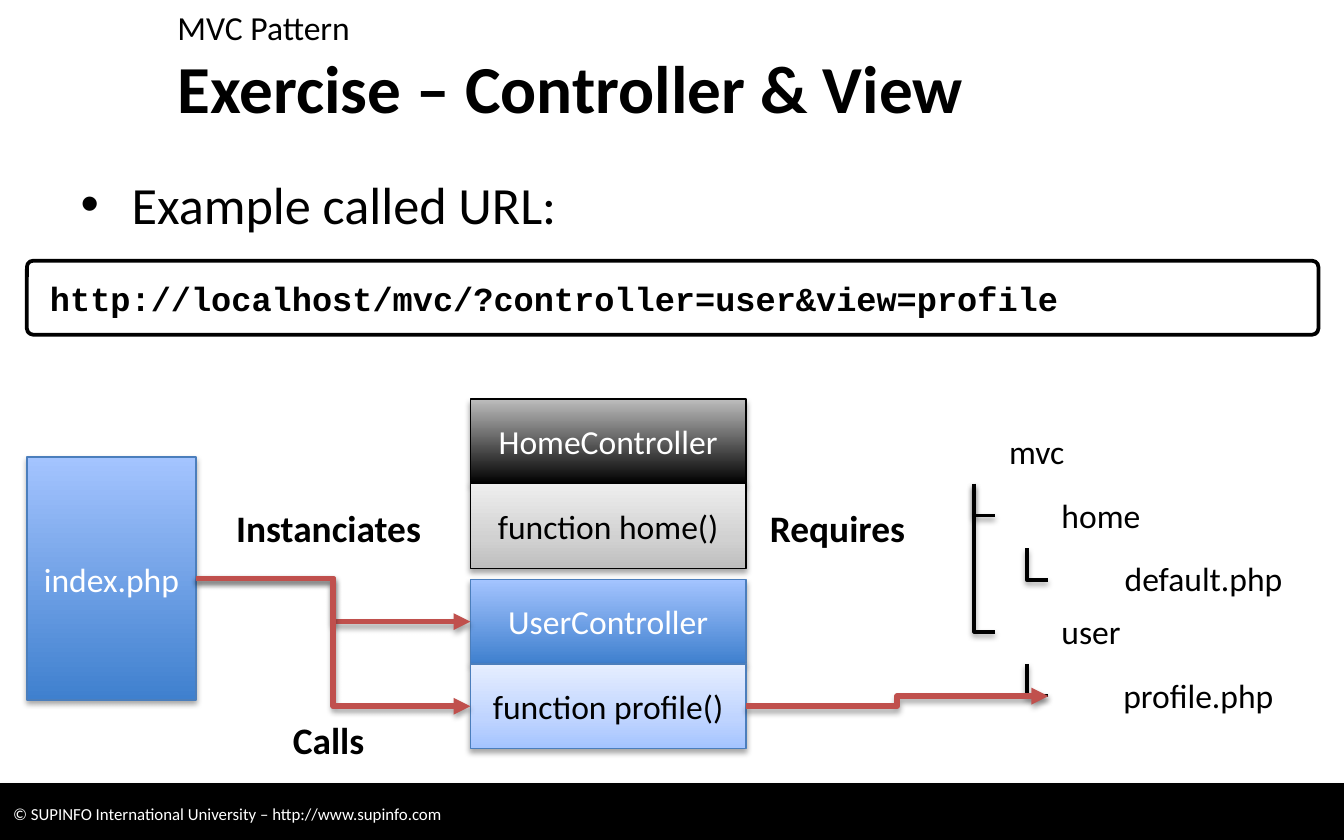
from dataclasses import dataclass
from copy import deepcopy
from typing import NamedTuple, Optional

from lxml.etree import SubElement
from pptx import Presentation
from pptx.dml.color import RGBColor
from pptx.enum.shapes import MSO_CONNECTOR, MSO_SHAPE
from pptx.enum.text import MSO_ANCHOR, MSO_AUTO_SIZE, PP_ALIGN
from pptx.oxml.ns import qn
from pptx.util import Emu, Inches, Pt

BLACK = RGBColor(0x00, 0x00, 0x00)
WHITE = RGBColor(0xFF, 0xFF, 0xFF)
GREY = RGBColor(0x80, 0x80, 0x80)
SILVER = RGBColor(0xBD, 0xBD, 0xBD)
LIGHT_SILVER = RGBColor(0xD1, 0xD1, 0xD1)
PALE_SILVER = RGBColor(0xEE, 0xEE, 0xEE)
BLUE = RGBColor(0x3F, 0x80, 0xCE)
BLUE_EDGE = RGBColor(0x4B, 0x7E, 0xBC)
SKY = RGBColor(0xA4, 0xC4, 0xFF)
LIGHT_SKY = RGBColor(0xBF, 0xD4, 0xFF)
PALE_SKY = RGBColor(0xE6, 0xEE, 0xFF)
RED = RGBColor(0xC0, 0x50, 0x4D)

COLUMNS = 100
SLIDE_WIDTH, SLIDE_HEIGHT = Inches(10), Inches(6.25)
CELL = SLIDE_WIDTH / COLUMNS
CLASS_LEFT, CLASS_WIDTH, CLASS_ROW = 35, 20.5, 6.3
BRANCH_WIDTH = 1.55


class Area(NamedTuple):
    left: float
    top: float
    width: float
    height: float


class Point(NamedTuple):
    x: float
    y: float


class Style(NamedTuple):
    size: float = 18
    color: RGBColor = BLACK
    bold: bool = False
    align: PP_ALIGN = PP_ALIGN.LEFT
    font: str = "Calibri"


@dataclass
class Controller:
    name: str
    method: str
    top: float
    edge: RGBColor
    name_fill: tuple
    method_fill: tuple


@dataclass
class Label:
    text: str
    area: Area
    style: Style = Style()


CONTROLLERS = [
    Controller("HomeController", "function home()", 29.7, BLACK,
               (BLACK, SILVER), (SILVER, LIGHT_SILVER, PALE_SILVER)),
    Controller("UserController", "function profile()", 43.1, BLUE_EDGE,
               (BLUE, SKY), (SKY, LIGHT_SKY, PALE_SKY)),
]
CAPTION = Style(20, bold=True)
CENTRED_CAPTION = CAPTION._replace(align=PP_ALIGN.CENTER)
LABELS = [
    Label("mvc", Area(74.1, 31.6, 12.6, 4)),
    Label("home", Area(78, 36.3, 12.6, 4)),
    Label("user", Area(78, 45, 12.6, 4)),
    Label("default.php", Area(82.7, 41, 15, 4)),
    Label("profile.php", Area(82.6, 49.7, 16.2, 4)),
    Label("Instanciates", Area(15.4, 37.1, 18.1, 4.4), CENTRED_CAPTION),
    Label("Calls", Area(15.4, 52.9, 18.1, 4.4), CENTRED_CAPTION),
    Label("Requires", Area(56.3, 37.1, 12.6, 4.4), CAPTION),
]
BRANCHES = [(Point(76.4, 40.8), 2.35), (Point(76.4, 49.4), 2.35),
            (Point(72.5, 36), 2.35), (Point(72.5, 36), 11)]


def grid(*cells: float) -> list[Emu]:
    return [Emu(round(cell * CELL)) for cell in cells]


def write(shape, text: str, style: Style, anchor=MSO_ANCHOR.TOP,
          margin: float = 0, indent: float = 0, bullet: Optional[str] = None) -> None:
    frame = shape.text_frame
    frame.text = text
    frame.word_wrap = True
    frame.auto_size = MSO_AUTO_SIZE.NONE
    frame.vertical_anchor = anchor
    paragraph = frame.paragraphs[0]
    properties = paragraph._p.get_or_add_pPr()
    properties.set("marL", str(Inches(margin)))
    properties.set("indent", str(Inches(indent)))
    if bullet:
        SubElement(properties, qn("a:buChar")).set("char", bullet)
    else:
        SubElement(properties, qn("a:buNone"))
    paragraph.alignment = style.align
    paragraph.space_before = Pt(0)
    font = paragraph.runs[0].font
    font.name, font.size, font.bold = style.font, Pt(style.size), style.bold
    font.color.rgb = style.color


def cast_shadow(shape, color: RGBColor = BLACK, opacity: int = 35) -> None:
    effects = SubElement(shape._element.spPr, qn("a:effectLst"))
    shadow = SubElement(effects, qn("a:outerShdw"), blurRad=str(Pt(3.1)),
                        dist=str(Pt(1.8)), dir="5400000", rotWithShape="0")
    tint = SubElement(shadow, qn("a:srgbClr"), val=str(color))
    SubElement(tint, qn("a:alpha"), val=str(opacity * 1000))


def draw_box(slide, area: Area, edge: RGBColor, colors: tuple,
             kind=MSO_SHAPE.RECTANGLE, weight: float = 0.75):
    box = slide.shapes.add_shape(kind, *grid(*area))
    box.line.color.rgb = edge
    box.line.width = Pt(weight)
    if len(colors) == 1:
        box.fill.solid()
        box.fill.fore_color.rgb = colors[0]
        return box
    box.fill.gradient()
    box.fill.gradient_angle = 90
    positions = (0, 1)
    if len(colors) == 3:
        stops = next(box._element.iter(qn("a:gsLst")))
        stops.insert(1, deepcopy(stops[0]))
        positions = (0, 0.35, 1)
    for stop, position, color in zip(box.fill.gradient_stops, positions, colors):
        stop.position = position
        stop.color.rgb = color
    return box


def draw_block(slide, text: str, area: Area, edge: RGBColor, colors: tuple,
               color: RGBColor) -> None:
    block = draw_box(slide, area, edge, colors)
    cast_shadow(block)
    write(block, text, Style(color=color, align=PP_ALIGN.CENTER), MSO_ANCHOR.MIDDLE)


def draw_controller(slide, controller: Controller) -> None:
    rows = [(controller.name, controller.name_fill, WHITE),
            (controller.method, controller.method_fill, BLACK)]
    for index, (text, colors, color) in enumerate(rows):
        area = Area(CLASS_LEFT, controller.top + index * CLASS_ROW, CLASS_WIDTH, CLASS_ROW)
        draw_block(slide, text, area, controller.edge, colors, color)


def draw_elbow(slide, start: Point, end: Point, color: RGBColor, weight: float):
    elbow = slide.shapes.add_connector(MSO_CONNECTOR.ELBOW, *grid(*start, *end))
    elbow.line.color.rgb = color
    elbow.line.width = Pt(weight)
    return elbow


def draw_branch(slide, start: Point, drop: float) -> None:
    left = start.x + (BRANCH_WIDTH - drop) / 2
    top = start.y + (drop - BRANCH_WIDTH) / 2
    branch = draw_elbow(slide, Point(left, top),
                        Point(left + drop, top + BRANCH_WIDTH), BLACK, 2)
    properties = branch._element.spPr
    properties.find(qn("a:prstGeom")).set("prst", "bentConnector2")
    properties.find(qn("a:xfrm")).set("rot", str(270 * 60000))
    properties.find(qn("a:xfrm")).set("flipH", "1")
    cast_shadow(branch, opacity=38)


def draw_arrow(slide, start: Point, end: Point) -> None:
    arrow = draw_elbow(slide, start, end, RED, 3)
    SubElement(arrow.line._get_or_add_ln(), qn("a:tailEnd"), type="triangle")
    cast_shadow(arrow)


def fill_placeholder(placeholder, area: Area, text: str, style: Style, **layout) -> None:
    (placeholder.left, placeholder.top,
     placeholder.width, placeholder.height) = grid(*area)
    write(placeholder, text, style, **layout)


def main() -> None:
    deck = Presentation()
    deck.slide_width, deck.slide_height = SLIDE_WIDTH, SLIDE_HEIGHT
    slide = deck.slides.add_slide(deck.slide_layouts.get_by_name("Two Content"))
    title, chapter, example = slide.placeholders
    fill_placeholder(title, Area(12.2, 3.7, 85, 5.5), "Exercise – Controller & View",
                     Style(36, bold=True), anchor=MSO_ANCHOR.MIDDLE)
    fill_placeholder(chapter, Area(12.2, 0, 85.1, 3.7), "MVC Pattern", Style())
    fill_placeholder(example, Area(5, 12.3, 92.3, 46.3), "Example called URL:",
                     Style(28), margin=0.38, indent=-0.38, bullet="•")

    footer = draw_box(slide, Area(0, 58.3, COLUMNS, 4.5), BLACK, (BLACK,))
    cast_shadow(footer, GREY)
    write(footer, "© SUPINFO International University – http://www.supinfo.com",
          Style(9, WHITE), MSO_ANCHOR.MIDDLE)

    url = draw_box(slide, Area(2, 19.4, 96.1, 5.5), BLACK, (WHITE,),
                   MSO_SHAPE.ROUNDED_RECTANGLE, 2)
    url.adjustments[0] = 0.085
    url.shadow.inherit = False
    write(url, "http://localhost/mvc/?controller=user&view=profile",
          Style(bold=True, font="Courier New"), MSO_ANCHOR.MIDDLE, margin=0.06)

    index = Area(2, 34, 12.6, 18.1)
    draw_block(slide, "index.php", index, BLUE_EDGE, (BLUE, SKY), WHITE)
    for controller in CONTROLLERS:
        draw_controller(slide, controller)
    for start, drop in BRANCHES:
        draw_branch(slide, start, drop)

    index_exit = Point(index.left + index.width, index.top + index.height / 2)
    name_middle = CONTROLLERS[1].top + CLASS_ROW / 2
    method_middle = name_middle + CLASS_ROW
    draw_arrow(slide, index_exit, Point(CLASS_LEFT, name_middle))
    draw_arrow(slide, index_exit, Point(CLASS_LEFT, method_middle))
    draw_arrow(slide, Point(CLASS_LEFT + CLASS_WIDTH, method_middle), Point(78, 51.8))

    for label in LABELS:
        write(slide.shapes.add_textbox(*grid(*label.area)), label.text, label.style)
    deck.save("out.pptx")


if __name__ == "__main__":
    main()
